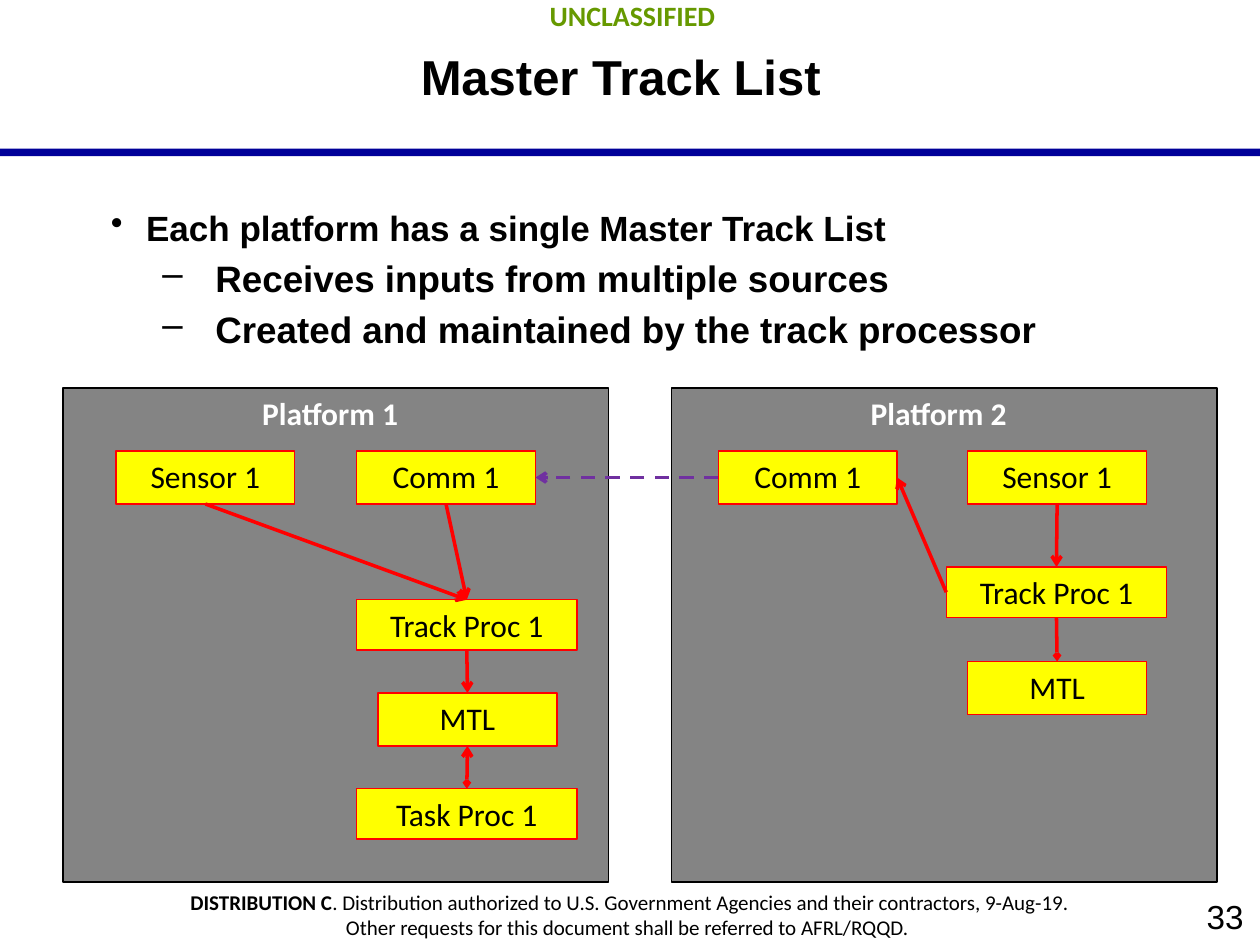
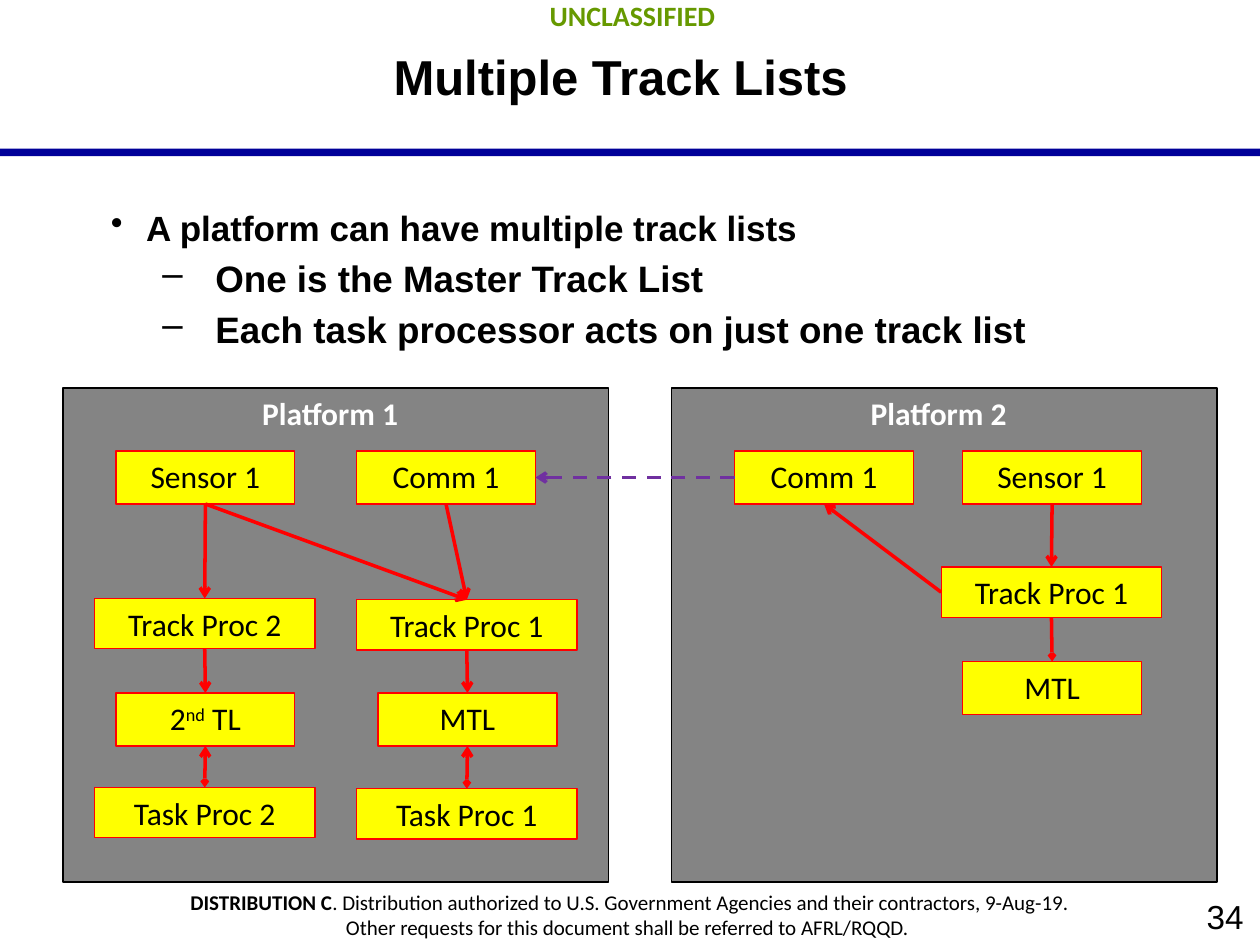
from dataclasses import dataclass
from typing import NamedTuple

from lxml import etree
from pptx import Presentation
from pptx.dml.color import RGBColor
from pptx.enum.dml import MSO_LINE
from pptx.enum.shapes import MSO_CONNECTOR, MSO_SHAPE
from pptx.enum.text import MSO_ANCHOR, PP_ALIGN
from pptx.oxml.ns import qn
from pptx.util import Emu, Pt

PX = 9144  # EMU in one px, 100 px to the inch

BLACK = RGBColor(0x00, 0x00, 0x00)
WHITE = RGBColor(0xFF, 0xFF, 0xFF)
NAVY = RGBColor(0x00, 0x00, 0x99)
GREEN = RGBColor(0x66, 0x99, 0x00)
GRAY = RGBColor(0x84, 0x84, 0x84)
YELLOW = RGBColor(0xFF, 0xFF, 0x00)
RED = RGBColor(0xFF, 0x00, 0x00)
PURPLE = RGBColor(0x70, 0x30, 0xA0)

HEADING_FONT = "Arial"
LABEL_FONT = "Calibri"

RECTANGLE = MSO_SHAPE.RECTANGLE
STRAIGHT = MSO_CONNECTOR.STRAIGHT
DASH = MSO_LINE.DASH
LEFT, CENTER, RIGHT = PP_ALIGN.LEFT, PP_ALIGN.CENTER, PP_ALIGN.RIGHT
TOP, MIDDLE = MSO_ANCHOR.TOP, MSO_ANCHOR.MIDDLE

# Connection sites of a rectangle
SITE_TOP, SITE_LEFT, SITE_BOTTOM, SITE_RIGHT = range(4)

PANEL_LEFT, PANEL_TOP, PANEL_STEP = 50, 308, 483
PANEL_WIDTH, PANEL_HEIGHT = 433, 392
PANEL_TITLE_INSET = 108
NARROW, WIDE = (142, 42), (175, 40)
WIDE_OFFSET = 17  # how far a wide box sticks out beside a narrow one
SENSOR_TOP = 358


class Box(NamedTuple):
    left: int
    top: int
    width: int
    height: int

    def emu(self) -> list[Emu]:
        return [Emu(length * PX) for length in self]


class Run(NamedTuple):
    text: str
    bold: bool = False
    superscript: bool = False


class Bullet(NamedTuple):
    mark: str
    margin: int
    indent: int


class Node(NamedTuple):
    key: str
    label: str | list[Run]
    left: int
    top: int
    size: tuple[int, int]


class Link(NamedTuple):
    start: str
    start_site: int
    end: str
    end_site: int
    head: bool = False
    tail: bool = True
    color: RGBColor = RED
    dashed: bool = False


@dataclass
class TrackSlide:
    number: int
    title: str
    statement: str
    details: list[str]
    nodes: list[Node]
    links: list[Link]


def write(paragraph, content: str | list[Run], *, size: float, color: RGBColor = BLACK,
          font: str = LABEL_FONT, bold: bool = False, align=CENTER,
          bullet: Bullet | None = None, before: float = 0, spacing: float = 1.0) -> None:
    """Fill a paragraph with one text or with several runs."""
    if bullet:
        properties = paragraph._p.get_or_add_pPr()
        properties.set("marL", str(bullet.margin * PX))
        properties.set("indent", str(bullet.indent * PX))
        etree.SubElement(properties, qn("a:buChar")).set("char", bullet.mark)
    paragraph.alignment = align
    paragraph.space_before = Pt(before)
    paragraph.line_spacing = spacing
    for part in [Run(content, bold)] if isinstance(content, str) else content:
        run = paragraph.add_run()
        run.text = part.text
        run.font.name = font
        run.font.size = Pt(size)
        run.font.bold = part.bold
        run.font.color.rgb = color
        if part.superscript:
            run._r.get_or_add_rPr().set("baseline", "30000")


def set_frame(frame, anchor=TOP, inset: tuple[int, int] = (10, 5)) -> None:
    frame.word_wrap = True
    frame.vertical_anchor = anchor
    frame.margin_left = frame.margin_right = Emu(inset[0] * PX)
    frame.margin_top = frame.margin_bottom = Emu(inset[1] * PX)


def add_text(slide, box: Box, anchor=TOP, inset: tuple[int, int] = (13, 7)):
    """Add a text box and return its frame."""
    frame = slide.shapes.add_textbox(*box.emu()).text_frame
    set_frame(frame, anchor, inset)
    return frame


def add_rectangle(slide, box: Box, fill: RGBColor, line: RGBColor | None = None,
                  weight: float = 1):
    shape = slide.shapes.add_shape(RECTANGLE, *box.emu())
    shape.shadow.inherit = False
    shape.fill.solid()
    shape.fill.fore_color.rgb = fill
    if line is None:
        shape.line.fill.background()
    else:
        shape.line.color.rgb = line
        shape.line.width = Pt(weight)
    return shape


def add_frame(slide, number: int, title: str) -> None:
    """Draw the band, marking, footer, page number and title."""
    add_rectangle(slide, Box(0, 118, 1000, 6), NAVY)
    page = add_text(slide, Box(800, 705, 200, 45), MIDDLE)
    write(page.paragraphs[0], str(number), size=19, font=HEADING_FONT, align=RIGHT)
    marking = add_text(slide, Box(2, -8, 1000, 40))
    write(marking.paragraphs[0], "UNCLASSIFIED", size=16, color=GREEN, bold=True)
    footer = add_text(slide, Box(-1, 699, 1002, 54))
    write(footer.paragraphs[0], [
        Run("DISTRIBUTION C", bold=True),
        Run(". Distribution authorized to U.S. Government Agencies and their "
            "contractors, 9-Aug-19."),
    ], size=12)
    write(footer.add_paragraph(),
          "Other requests for this document shall be referred to AFRL/RQQD. ", size=12)
    heading = add_text(slide, Box(48, -2, 900, 125), MIDDLE)
    write(heading.paragraphs[0], title, size=28, font=HEADING_FONT, bold=True)


def add_body(slide, statement: str, details: list[str]) -> None:
    body = add_text(slide, Box(50, 150, 900, 495))
    write(body.paragraphs[0], statement, size=20, font=HEADING_FONT, bold=True,
          align=LEFT, bullet=Bullet("•", 53, -28), spacing=1.2)
    for detail in details:
        write(body.add_paragraph(), detail, size=21, font=HEADING_FONT, bold=True,
              align=LEFT, bullet=Bullet("–", 108, -42), before=4.2)


def add_panel(slide, index: int) -> None:
    left = PANEL_LEFT + index * PANEL_STEP
    add_rectangle(slide, Box(left, PANEL_TOP, PANEL_WIDTH, PANEL_HEIGHT), GRAY, BLACK)
    label = add_text(slide, Box(left + PANEL_TITLE_INSET, PANEL_TOP, 208, 40), inset=(10, 5))
    write(label.paragraphs[0], f"Platform {index + 1}", size=18, color=WHITE, bold=True)


def add_node(slide, node: Node):
    shape = add_rectangle(slide, Box(node.left, node.top, *node.size), YELLOW, RED, 0.75)
    set_frame(shape.text_frame)
    write(shape.text_frame.paragraphs[0], node.label, size=18)
    return shape


def add_link(slide, link: Link, shapes: dict) -> None:
    connector = slide.shapes.add_connector(STRAIGHT, 0, 0, 0, 0)
    connector.begin_connect(shapes[link.start], link.start_site)
    connector.end_connect(shapes[link.end], link.end_site)
    connector.line.color.rgb = link.color
    connector.line.width = Pt(2)
    if link.dashed:
        connector.line.dash_style = DASH
    outline = connector.line._get_or_add_ln()
    for shown, tag, size in ((link.head, "a:headEnd", "sm"), (link.tail, "a:tailEnd", "med")):
        if shown:
            arrow = etree.SubElement(outline, qn(tag))
            arrow.set("type", "arrow")
            arrow.set("w", size)
            arrow.set("len", size)
    etree.SubElement(connector._element.spPr, qn("a:effectLst"))


def second_platform(comm_left: int, proc_left: int) -> list[Node]:
    narrow_left = proc_left + WIDE_OFFSET
    return [
        Node("comm b", "Comm 1", comm_left, SENSOR_TOP, NARROW),
        Node("proc b", "Track Proc 1", proc_left, 450, WIDE),
        Node("sensor b", "Sensor 1", narrow_left, SENSOR_TOP, NARROW),
        Node("mtl b", "MTL", narrow_left, 525, NARROW),
    ]


FIRST_PLATFORM = [
    Node("comm a", "Comm 1", 283, SENSOR_TOP, NARROW),
    Node("proc a", "Track Proc 1", 283, 476, WIDE),
    Node("mtl a", "MTL", 283 + WIDE_OFFSET, 550, NARROW),
    Node("task a", "Task Proc 1", 283, 626, WIDE),
    Node("sensor a", "Sensor 1", 75 + WIDE_OFFSET, SENSOR_TOP, NARROW),
]
SECOND_TRACK_LIST = [
    Node("proc 2", "Track Proc 2", 75, 475, WIDE),
    Node("list 2", [Run("2"), Run("nd", superscript=True), Run(" TL")],
         75 + WIDE_OFFSET, 550, NARROW),
    Node("task 2", "Task Proc 2", 75, 625, WIDE),
]
COMMON_LINKS = [
    Link("comm a", SITE_BOTTOM, "proc a", SITE_TOP),
    Link("sensor a", SITE_BOTTOM, "proc a", SITE_TOP),
    Link("proc a", SITE_BOTTOM, "mtl a", SITE_TOP),
    Link("task a", SITE_TOP, "mtl a", SITE_BOTTOM, head=True),
    Link("mtl b", SITE_TOP, "proc b", SITE_BOTTOM, head=True, tail=False),
    Link("sensor b", SITE_BOTTOM, "proc b", SITE_TOP),
    Link("comm b", SITE_LEFT, "comm a", SITE_RIGHT, color=PURPLE, dashed=True),
]
SECOND_TRACK_LINKS = [
    Link("proc 2", SITE_BOTTOM, "list 2", SITE_TOP),
    Link("task 2", SITE_TOP, "list 2", SITE_BOTTOM, head=True),
    Link("sensor a", SITE_BOTTOM, "proc 2", SITE_TOP),
]

SLIDES = [
    TrackSlide(
        33, "Master Track List ", "Each platform has a single Master Track List",
        ["Receives inputs from multiple sources",
         "Created and maintained by the track processor"],
        FIRST_PLATFORM + second_platform(570, 751),
        COMMON_LINKS + [Link("proc b", SITE_LEFT, "comm b", SITE_RIGHT)],
    ),
    TrackSlide(
        34, "Multiple Track Lists ", "A platform can have multiple track lists",
        ["One is the Master Track List",
         "Each task processor acts on just one track list"],
        FIRST_PLATFORM + SECOND_TRACK_LIST + second_platform(583, 747),
        COMMON_LINKS + SECOND_TRACK_LINKS
        + [Link("proc b", SITE_LEFT, "comm b", SITE_BOTTOM)],
    ),
]


def main() -> None:
    presentation = Presentation()
    presentation.slide_width = Emu(1000 * PX)
    presentation.slide_height = Emu(750 * PX)
    for content in SLIDES:
        slide = presentation.slides.add_slide(presentation.slide_layouts[6])
        add_frame(slide, content.number, content.title)
        add_body(slide, content.statement, content.details)
        for index in range(2):
            add_panel(slide, index)
        shapes = {node.key: add_node(slide, node) for node in content.nodes}
        for link in content.links:
            add_link(slide, link, shapes)
    presentation.save("out.pptx")


if __name__ == "__main__":
    main()
